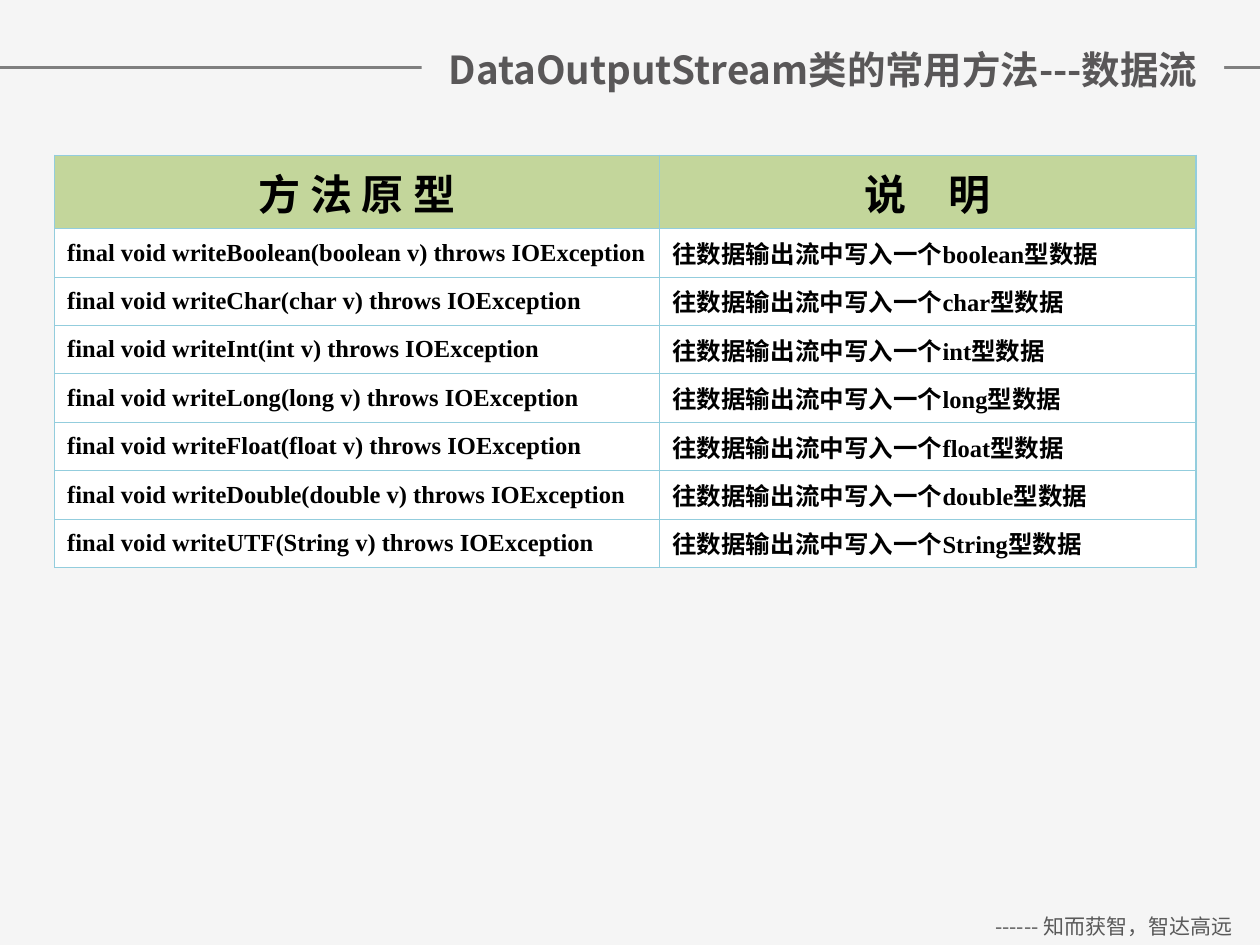
from lxml import etree
from pptx import Presentation
from pptx.dml.color import RGBColor
from pptx.enum import shapes, text
from pptx.oxml.ns import qn
from pptx.util import Cm, Pt

# Content
TITLE = "DataOutputStream类的常用方法---数据流"
MOTTO = "------ 知而获智，智达高远"
HEADER = ("方 法 原 型", "说　明")
METHODS = [("Boolean", "boolean"), ("Char", "char"), ("Int", "int"),
           ("Long", "long"), ("Float", "float"), ("Double", "double"),
           ("UTF", "String")]
ROWS = [(f"final void write{name}({kind} v) throws IOException",
         f"往数据输出流中写入一个{kind}型数据") for name, kind in METHODS]

# Format
COLORS = {"back": "F5F5F5", "rule": "7F7F7F", "title": "595758",
          "motto": "595959", "text": "000000", "header": "C3D69B",
          "body": "FFFFFF", "border": "93CDDD"}
SANS, SERIF = "Noto Sans CJK SC", "Times New Roman"
COL_WIDTHS = (12.2, 10.81)
HEADER_HEIGHT, ROW_HEIGHT = 1.48, 0.975
THICK, THIN = 0.75, 0.45


def rgb(name):
    return RGBColor.from_string(COLORS[name])


def write(tf, content, size, color="text", font=SANS, bold=True, align="CENTER"):
    p = tf.paragraphs[0]
    p.alignment = getattr(text.PP_ALIGN, align)
    r = p.add_run()
    r.text = content
    r.font.size, r.font.bold, r.font.name = Pt(size), bold, font
    r.font.color.rgb = rgb(color)
    etree.SubElement(r.font._element, qn("a:ea"), typeface=SANS)


def add_borders(cell, widths):
    tcPr = cell._tc.get_or_add_tcPr()
    for i, (side, width) in enumerate(widths.items()):
        ln = etree.Element(qn(f"a:ln{side}"), w=str(Pt(width)))
        fill = etree.SubElement(ln, qn("a:solidFill"))
        etree.SubElement(fill, qn("a:srgbClr"), val=COLORS["border"])
        tcPr.insert(i, ln)


prs = Presentation()
prs.slide_width, prs.slide_height = Cm(25.4), Cm(19.05)
s = prs.slides.add_slide(prs.slide_layouts[6])
s.background.fill.solid()
s.background.fill.fore_color.rgb = rgb("back")

# Rule across the top
rule = s.shapes.add_connector(shapes.MSO_CONNECTOR.STRAIGHT,
                              0, Cm(1.36), prs.slide_width, Cm(1.36))
rule.line.color.rgb = rgb("rule")
rule.line.width = Pt(2)
etree.SubElement(rule._element.spPr, qn("a:effectLst"))

# Motto at the bottom right
sp = s.shapes.add_textbox(Cm(19.51), Cm(18.29), Cm(5.89), Cm(0.76))
sp.text_frame.word_wrap = True
write(sp.text_frame, MOTTO, 12, color="motto", bold=False)

# Title, masking the rule behind it
sp = s.shapes.add_textbox(Cm(8.5), Cm(0.66), Cm(16.18), Cm(1.45))
sp.fill.solid()
sp.fill.fore_color.rgb = rgb("back")
sp.text_frame.word_wrap = False
sp.text_frame.vertical_anchor = text.MSO_ANCHOR.MIDDLE
write(sp.text_frame, TITLE, 22, color="title")

# Method table
heights = [HEADER_HEIGHT] + [ROW_HEIGHT] * len(ROWS)
table = s.shapes.add_table(len(heights), len(COL_WIDTHS), Cm(1.1), Cm(3.13),
                           Cm(sum(COL_WIDTHS)), Cm(sum(heights))).table
table.horz_banding = False
for column, width in zip(table.columns, COL_WIDTHS):
    column.width = Cm(width)
for row, height in zip(table.rows, heights):
    row.height = Cm(height)

last_row, last_col = len(heights) - 1, len(COL_WIDTHS) - 1
for i, row in enumerate([HEADER] + ROWS):
    for j, content in enumerate(row):
        cell = table.cell(i, j)
        cell.vertical_anchor = text.MSO_ANCHOR.MIDDLE
        cell.fill.solid()
        cell.fill.fore_color.rgb = rgb("body" if i else "header")
        if i:
            write(cell.text_frame, content, 14, font=SERIF, align="LEFT")
        else:
            write(cell.text_frame, content, 24)
        outer = {"L": j == 0, "R": j == last_col, "T": i == 0, "B": i == last_row}
        add_borders(cell, {side: THICK if edge else THIN
                           for side, edge in outer.items()})

prs.save("out.pptx")
